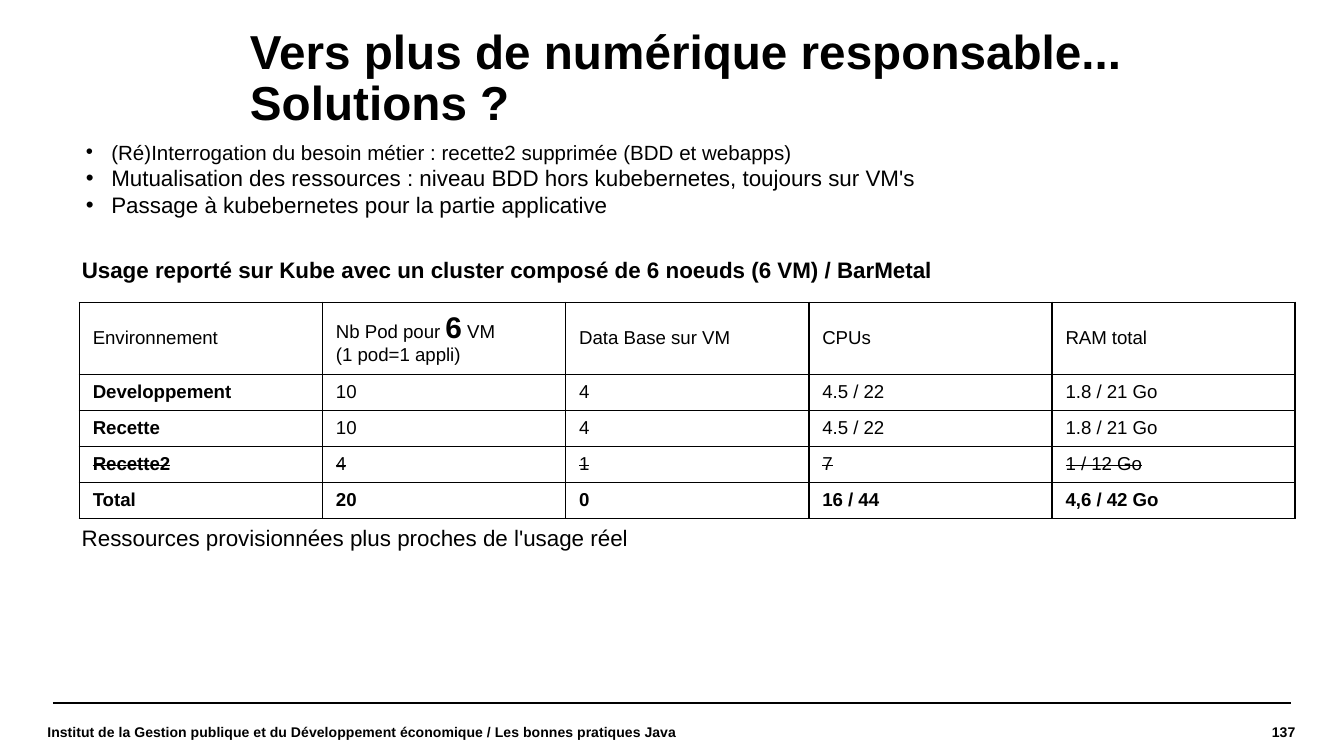
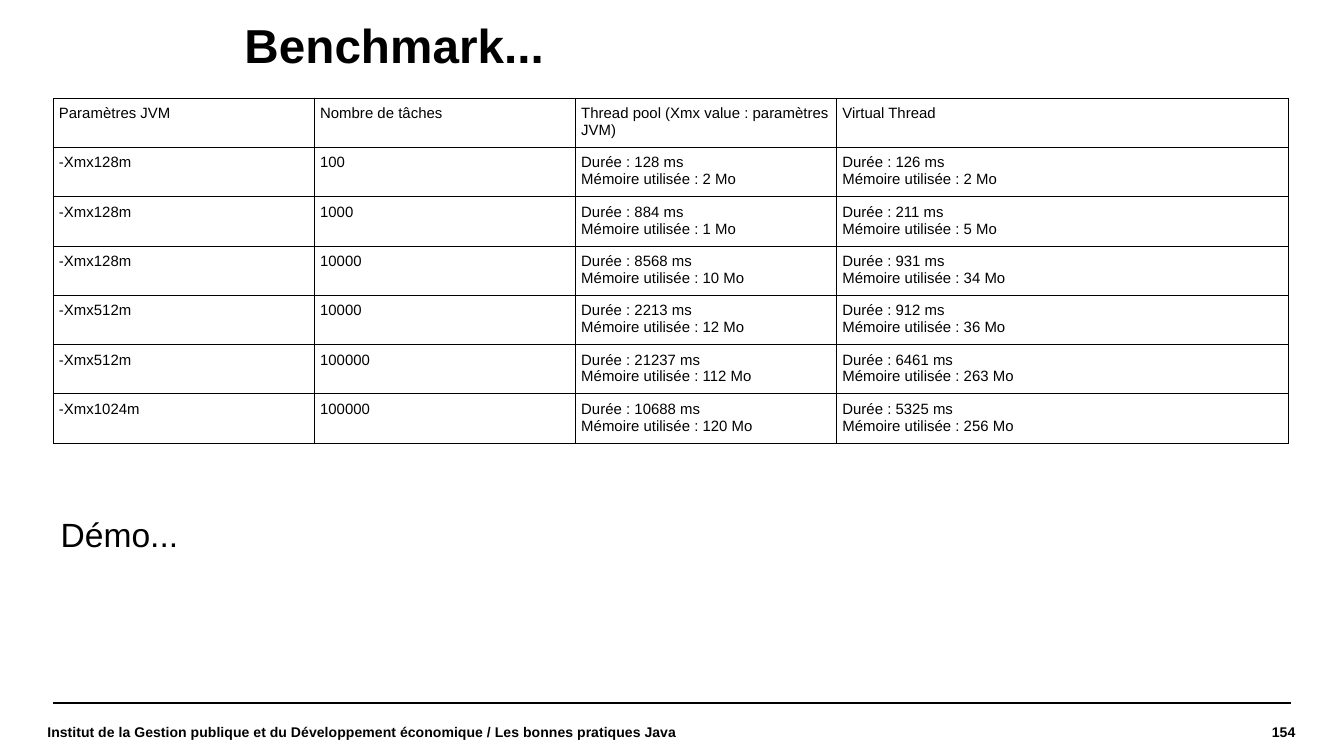
from itertools import product

from lxml import etree
from pptx import Presentation
from pptx import util as u
from pptx.dml.color import RGBColor
from pptx.enum import shapes, text
from pptx.oxml import ns

BLACK = RGBColor(0x00, 0x00, 0x00)
FONT = "Arial"
PAGE_WIDTH, PAGE_HEIGHT = 720, 405
FOOTER = ("Institut de la Gestion publique et du Développement économique"
          " / Les bonnes pratiques Java")

# Text formats
TITLE = {"size": u.Pt(25.5), "bold": True}
SMALL_BOLD = {"size": u.Pt(7.5), "bold": True}
BODY = {"size": u.Pt(12)}
BODY_BOLD = {"size": u.Pt(12), "bold": True}
DEMO = {"size": u.Pt(18)}
CELL = {"size": u.Pt(10)}
BENCH_CELL = {"size": u.Pt(8)}

# Frame margins: left, top, right, bottom
NO_MARGIN = (0, 0, 0, 0)
MARGIN = (7.2, 3.6, 7.2, 3.6)
BENCH_MARGIN = (2.9, 3.6, 2.9, 3.6)

ENVIRONMENTS = [
    ["Environnement",
     [[("Nb Pod pour ", {}), ("6", {"size": u.Pt(16), "bold": True}), (" VM", {})],
      "(1 pod=1 appli)"],
     "Data Base sur VM", "CPUs", "RAM total"],
    ["Developpement", "10", "4", "4.5 / 22", "1.8 / 21 Go"],
    ["Recette", "10", "4", "4.5 / 22", "1.8 / 21 Go"],
    ["Recette2", "4", "1", "7", "1 / 12 Go"],
    ["Total", "20", "0", "16 / 44", "4,6 / 42 Go"],
]

BENCH_HEADER = ["Paramètres JVM", "Nombre de tâches",
                "Thread pool (Xmx value : paramètres JVM)", "Virtual Thread"]
# JVM option, tasks, then (ms, Mo) for the thread pool and for virtual threads
BENCH_RUNS = [
    ("-Xmx128m", 100, (128, 2), (126, 2)),
    ("-Xmx128m", 1000, (884, 1), (211, 5)),
    ("-Xmx128m", 10000, (8568, 10), (931, 34)),
    ("-Xmx512m", 10000, (2213, 12), (912, 36)),
    ("-Xmx512m", 100000, (21237, 112), (6461, 263)),
    ("-Xmx1024m", 100000, (10688, 120), (5325, 256)),
]


def points(values):
    return [u.Pt(value) for value in values]


def add_xml(parent, tag, **attributes):
    return etree.SubElement(parent, ns.qn(tag), attributes)


def set_margins(target, margins):
    names = ("margin_left", "margin_top", "margin_right", "margin_bottom")
    for name, value in zip(names, points(margins)):
        setattr(target, name, value)


def add_bullet(para, indent=13.7):
    settings = para._p.get_or_add_pPr()
    settings.set("marL", str(u.Pt(indent)))
    settings.set("indent", str(-u.Pt(indent)))
    color = add_xml(settings, "a:buClr")
    add_xml(color, "a:srgbClr", val=str(BLACK))
    add_xml(settings, "a:buFont", typeface=FONT)
    add_xml(settings, "a:buChar", char="•")


def write(frame, content, style, bullets=False, align=None, spacing=None):
    """Content is a string, or a list of paragraphs: strings or lists of spans."""
    paragraphs = [content] if isinstance(content, str) else content
    for index, spans in enumerate(paragraphs):
        para = frame.add_paragraph() if index else frame.paragraphs[0]
        if bullets:
            add_bullet(para)
        para.alignment = align
        para.line_spacing = spacing
        for words, extra in [(spans, {})] if isinstance(spans, str) else spans:
            span = para.add_run()
            span.text = words
            span.font.color.rgb = BLACK
            for name, value in {"name": FONT, **style, **extra}.items():
                if name == "strike":
                    span.font._element.set("strike", value)
                else:
                    setattr(span.font, name, value)


def add_text(page, area, content, style, margins=MARGIN,
             anchor=text.MSO_ANCHOR.TOP, **layout):
    box = page.shapes.add_textbox(*points(area))
    frame = box.text_frame
    frame.word_wrap = True
    frame.vertical_anchor = anchor
    set_margins(frame, margins)
    write(frame, content, style, **layout)


def set_borders(cell, width):
    settings = cell._tc.get_or_add_tcPr()
    for side in ("a:lnL", "a:lnR", "a:lnT", "a:lnB"):
        line = add_xml(settings, side, w=str(u.Pt(width)))
        fill = add_xml(line, "a:solidFill")
        add_xml(fill, "a:srgbClr", val=str(BLACK))


def add_grid(page, corner, widths, heights, rows, style_of, margins, border, anchor):
    size = (sum(widths), sum(heights))
    grid = page.shapes.add_table(len(rows), len(widths), *points(corner + size)).table
    grid.first_row = grid.horz_banding = False
    for column, width in zip(grid.columns, points(widths)):
        column.width = width
    for row, height in zip(grid.rows, points(heights)):
        row.height = height
    for r, c in product(range(len(rows)), range(len(widths))):
        cell = grid.cell(r, c)
        set_margins(cell, margins)
        cell.vertical_anchor = anchor
        set_borders(cell, border)
        cell.fill.background()
        write(cell.text_frame, rows[r][c], style_of(r, c))


def add_page(deck, title, title_area, number):
    page = deck.slides.add_slide(deck.slide_layouts[6])
    # Footer rule
    rule = page.shapes.add_connector(
        shapes.MSO_CONNECTOR.STRAIGHT, *points((28.4, 376.6, 691.6, 376.6)))
    rule.line.color.rgb = BLACK
    rule.line.width = u.Pt(0.8)
    add_xml(rule._element.spPr, "a:effectLst")
    # Title
    add_text(page, title_area, title, TITLE, NO_MARGIN, spacing=0.9)
    # Page number and footer
    middle = text.MSO_ANCHOR.MIDDLE
    add_text(page, (588.2, 378, 105.8, 28), str(number), SMALL_BOLD, NO_MARGIN,
             middle, align=text.PP_ALIGN.RIGHT)
    add_text(page, (25.4, 378, 348.5, 28), FOOTER, SMALL_BOLD, NO_MARGIN, middle)
    return page


def environment_style(row, column):
    total = len(ENVIRONMENTS) - 1
    style = dict(CELL, bold=row == total or (row > 0 and column == 0))
    if ENVIRONMENTS[row][0] == "Recette2":
        style["strike"] = "sngStrike"
    return style


def solutions_page(deck):
    page = add_page(deck, "Vers plus de numérique responsable... Solutions ?",
                    (133.9, 15.1, 575.3, 28.8), 137)
    # Actions
    actions = [
        [("(Ré)Interrogation du besoin métier : recette2 supprimée (BDD et webapps)",
          {"size": u.Pt(11)})],
        "Mutualisation des ressources : niveau BDD hors kubebernetes, toujours sur VM's",
        "Passage à kubebernetes pour la partie applicative",
    ]
    add_text(page, (38.9, 71.3, 607, 62.6), actions, BODY, bullets=True)
    # Usage table with its heading and conclusion
    left, top, row_height = 42.5, 162, 19.3
    heights = [2 * row_height] + [row_height] * (len(ENVIRONMENTS) - 1)
    add_grid(page, (left, top), [130.3] * 5, heights, ENVIRONMENTS,
             environment_style, MARGIN, 0.96, text.MSO_ANCHOR.MIDDLE)
    add_text(page, (36.7, 133.9, 625, 36),
             "Usage reporté sur Kube avec un cluster composé de 6 noeuds (6 VM) / BarMetal",
             BODY_BOLD)
    add_text(page, (36.7, top + sum(heights) - 0.6, 311.8, 21.6),
             "Ressources provisionnées plus proches de l'usage réel", BODY)


def benchmark_page(deck):
    page = add_page(deck, "Benchmark...", (131, 12.2, 568.8, 28.8), 154)
    # Demo label
    add_text(page, (25.4, 271.6, 170, 27.4), "Démo...", DEMO)
    # Results
    rows = [BENCH_HEADER]
    for option, tasks, *results in BENCH_RUNS:
        rows.append([option, str(tasks)] + [
            [f"Durée : {duration} ms", f"Mémoire utilisée : {memory} Mo"]
            for duration, memory in results])
    add_grid(page, (28.7, 52.7), [139.9] * 3 + [242.1],
             [25.2] + [25.9] * len(BENCH_RUNS), rows,
             lambda row, column: BENCH_CELL, BENCH_MARGIN, 0.57, text.MSO_ANCHOR.TOP)


def main():
    deck = Presentation()
    deck.slide_width, deck.slide_height = points((PAGE_WIDTH, PAGE_HEIGHT))
    solutions_page(deck)
    benchmark_page(deck)
    deck.save("out.pptx")


if __name__ == "__main__":
    main()
